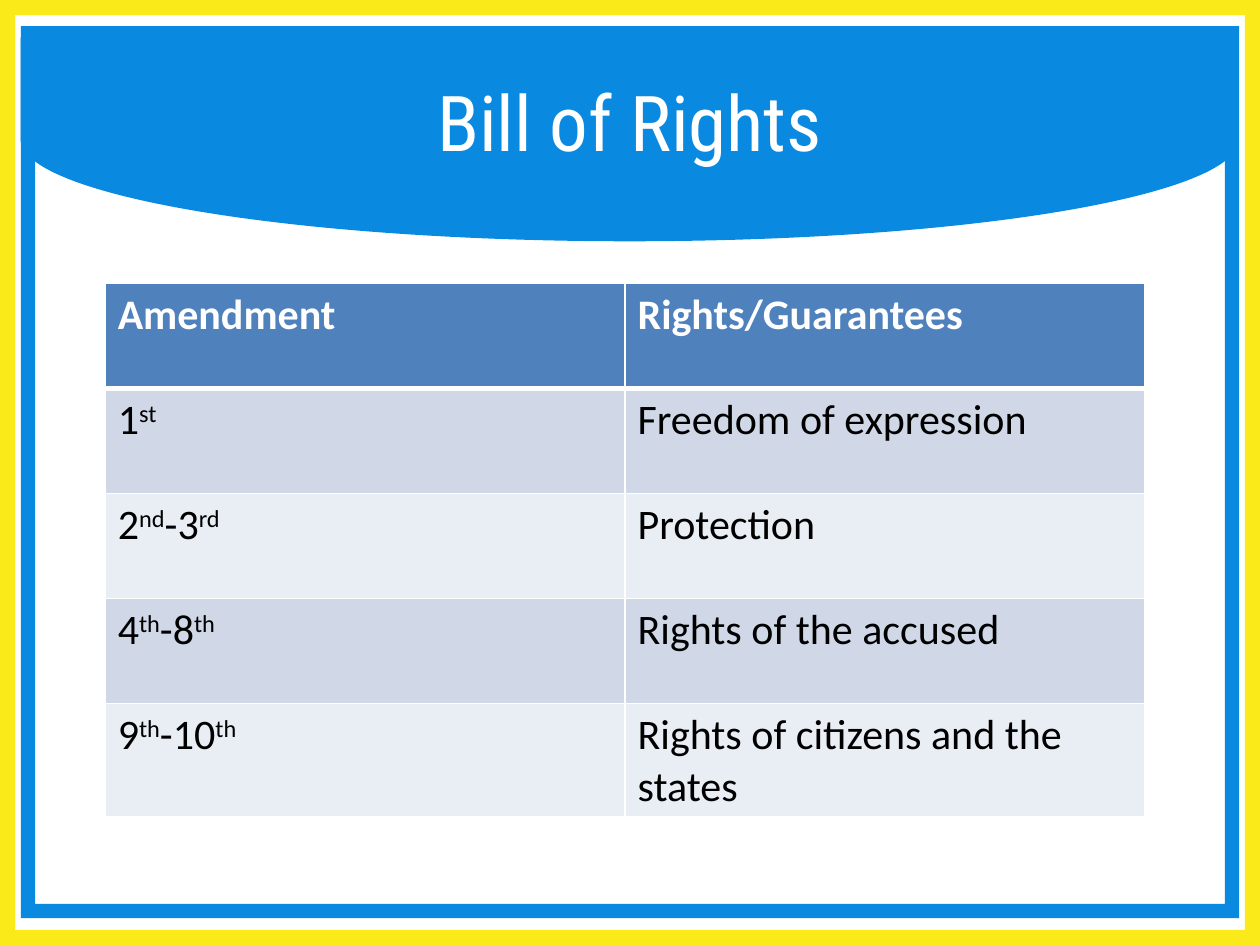
from lxml import etree
from pptx import Presentation, util as u
from pptx.dml.color import RGBColor
from pptx.enum import shapes, text
from pptx.oxml.ns import qn

BLUE, YELLOW, WHITE, BLACK = "0A89E0", "FAEA1A", "FFFFFF", "000000"
HEADER, BANDS = "4F81BD", ("D0D8E8", "E9EDF4")


def color(value):
    return RGBColor.from_string(value)


class Deck:
    body_font = "Calibri"
    title_font = "Roboto Condensed"

    def __init__(self, width, height):
        self.prs = Presentation()
        self.prs.slide_width, self.prs.slide_height = u.Cm(width), u.Cm(height)
        self.s = self.prs.slides.add_slide(self.prs.slide_layouts[6])

    def shape(self, kind, box, fill, rotation=0, adjust=None):
        sp = self.s.shapes.add_shape(kind, *map(u.Cm, box))
        sp.shadow.inherit = False
        sp.fill.solid()
        sp.fill.fore_color.rgb = color(fill)
        sp.line.fill.background()
        sp.rotation = rotation
        if adjust is not None:
            sp.adjustments[0] = adjust

    def style(self, r, name, size, fill, bold=False):
        r.font.name, r.font.size, r.font.bold = name, u.Pt(size), bold
        r.font.color.rgb = color(fill)

    def title(self, content, box):
        tf = self.s.shapes.add_textbox(*map(u.Cm, box)).text_frame
        tf.word_wrap = True
        tf.vertical_anchor = text.MSO_ANCHOR.MIDDLE
        tf.text = content
        p = tf.paragraphs[0]
        p.alignment = text.PP_ALIGN.CENTER
        self.style(p.runs[0], self.title_font, 44, WHITE)

    def border(self, cell, side, width):
        tc_pr = cell._tc.get_or_add_tcPr()
        ln = etree.SubElement(tc_pr, qn("a:ln" + side), w=str(u.Pt(width)))
        fill = etree.SubElement(ln, qn("a:solidFill"))
        etree.SubElement(fill, qn("a:srgbClr"), val=WHITE)

    def cell(self, cell, content, row):
        header = row == 0
        for side in "LRTB":
            thick = (side == "B" and row == 0) or (side == "T" and row == 1)
            self.border(cell, side, 3 if thick else 1)
        cell.fill.solid()
        cell.fill.fore_color.rgb = color(HEADER if header else BANDS[(row - 1) % 2])
        p = cell.text_frame.paragraphs[0]
        for i, part in enumerate(filter(None, content.split("^"))):
            r = p.add_run()
            r.text = part
            self.style(r, self.body_font, 24, WHITE if header else BLACK, header)
            if i % 2:
                r._r.get_or_add_rPr().set("baseline", "30000")

    def table(self, rows, box):
        tbl = self.s.shapes.add_table(len(rows), len(rows[0]), *map(u.Cm, box)).table
        for i, row in enumerate(rows):
            for j, content in enumerate(row):
                self.cell(tbl.cell(i, j), content, i)


deck = Deck(25.4, 19.05)
shape_type = shapes.MSO_SHAPE
deck.shape(shape_type.FLOWCHART_DELAY, (10.64, -9.47, 4.11, 24.56), BLUE, rotation=90)
deck.shape(shape_type.FRAME, (0, 0, 25.4, 19.05), YELLOW, adjust=0.016)
deck.shape(shape_type.FRAME, (0.42, 0.53, 24.56, 17.98), BLUE, adjust=0.016)
deck.title("Bill of Rights", (1.27, 0.84, 22.86, 3.18))
deck.table([
    ("Amendment", "Rights/Guarantees"),
    ("1^st", "Freedom of expression"),
    ("2^nd^-3^rd", "Protection"),
    ("4^th^-8^th", "Rights of the accused"),
    ("9^th^-10^th", "Rights of citizens and the states"),
], (2.12, 5.72, 20.96, 10.58))
deck.prs.save("out.pptx")
